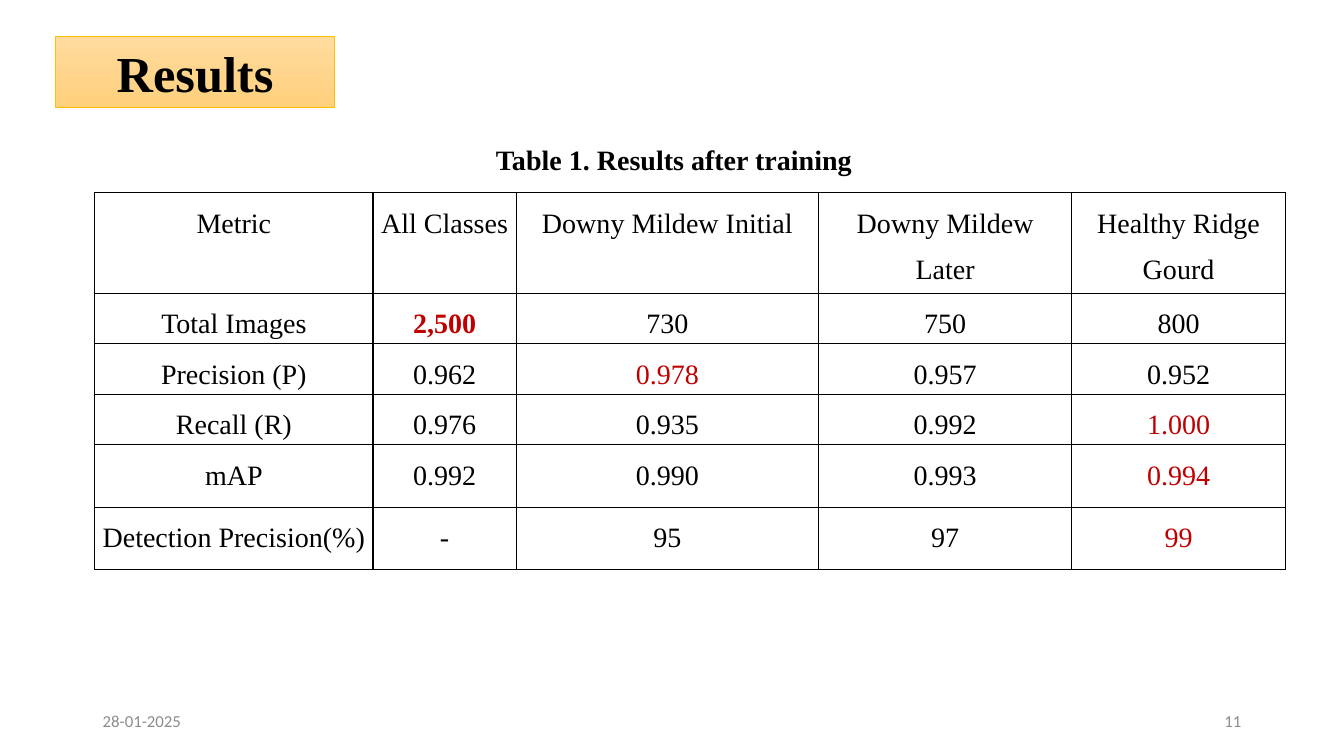
import pptx
import pptx.util
from dataclasses import dataclass
from lxml import etree
from pptx.dml.color import RGBColor
from pptx.enum.shapes import MSO_SHAPE
from pptx.enum.text import MSO_ANCHOR, MSO_AUTO_SIZE, PP_ALIGN
from pptx.oxml.ns import qn
from pptx.util import Inches, Pt

# Content
TITLE = "Results"
CAPTION = "Table 1. Results after training"
DATE, PAGE = "28-01-2025", "11"
RESULTS = [
    ("Metric", "All Classes", "Downy Mildew Initial", "Downy Mildew Later", "Healthy Ridge Gourd"),
    ("Total Images", "2,500", "730", "750", "800"),
    ("Precision (P)", "0.962", "0.978", "0.957", "0.952"),
    ("Recall (R)", "0.976", "0.935", "0.992", "1.000"),
    ("mAP", "0.992", "0.990", "0.993", "0.994"),
    ("Detection Precision(%)", "-", "95", "97", "99"),
]
HIGHLIGHTS = {"2,500", "0.978", "1.000", "0.994", "99"}
BOLD_VALUES = {"2,500"}

# Grid, in inches
SLIDE_WIDTH, SLIDE_HEIGHT = 13.33, 7.5
TITLE_BOX = (0.55, 0.36, 2.77, 0.71)
CAPTION_BOX = (2.3, 1.34, 8.77, 0.53)
TABLE_LEFT, TABLE_TOP = 0.94, 1.91
COLUMN_WIDTHS = (2.76, 1.42, 3, 2.51, 2.12)
ROW_HEIGHTS = (0.72, 0.47, 0.47, 0.47, 0.62, 0.62)
FOOTER_MARGIN, FOOTER_TOP, FOOTER_WIDTH, FOOTER_HEIGHT = 0.92, 6.95, 3, 0.4


@dataclass(frozen=True)
class Theme:
    serif: str = "Times New Roman"
    sans: str = "Calibri"
    black: str = "000000"
    white: str = "FFFFFF"
    red: str = "C00000"
    gray: str = "8C8C8C"
    gold: str = "FFC000"
    gradient: tuple = ("FFDB9E", "FFD07C")
    title_size: int = 36
    body_size: int = 20
    footer_size: int = 12


THEME = Theme()


def set_attributes(target, values):
    for name, value in values.items():
        setattr(target, name, value)


def write(text_frame, text, size, color, font=THEME.serif, bold=False, **paragraph_format):
    text_frame.word_wrap = True
    paragraph = text_frame.paragraphs[0]
    set_attributes(paragraph, paragraph_format)
    run = paragraph.add_run()
    run.text = text
    set_attributes(run.font, {"name": font, "size": Pt(size), "bold": bold})
    run.font.color.rgb = RGBColor.from_string(color)


def add_rectangle(slide, box):
    shape = slide.shapes.add_shape(MSO_SHAPE.RECTANGLE, *map(Inches, box))
    shape.shadow.inherit = False
    return shape


def add_caption(slide):
    shape = add_rectangle(slide, CAPTION_BOX)
    shape.fill.solid()
    shape.fill.fore_color.rgb = RGBColor.from_string(THEME.white)
    shape.line.fill.background()
    shape.text_frame.vertical_anchor = MSO_ANCHOR.TOP
    write(shape.text_frame, CAPTION, THEME.body_size, THEME.black, bold=True,
          alignment=PP_ALIGN.CENTER, line_spacing=1.07, space_after=Pt(8))


def add_title(slide):
    shape = add_rectangle(slide, TITLE_BOX)
    shape.fill.gradient()
    shape.fill.gradient_angle = 270
    for stop, color in zip(shape.fill.gradient_stops, THEME.gradient):
        stop.color.rgb = RGBColor.from_string(color)
    shape.line.color.rgb = RGBColor.from_string(THEME.gold)
    shape.line.width = Pt(0.5)
    set_attributes(shape.text_frame, {"vertical_anchor": MSO_ANCHOR.MIDDLE,
                                      "auto_size": MSO_AUTO_SIZE.SHAPE_TO_FIT_TEXT})
    write(shape.text_frame, TITLE, THEME.title_size, THEME.black, bold=True,
          alignment=PP_ALIGN.CENTER)


def add_footer(slide, text, left, alignment):
    box = (left, FOOTER_TOP, FOOTER_WIDTH, FOOTER_HEIGHT)
    text_frame = slide.shapes.add_textbox(*map(Inches, box)).text_frame
    text_frame.vertical_anchor = MSO_ANCHOR.MIDDLE
    write(text_frame, text, THEME.footer_size, THEME.gray, THEME.sans, alignment=alignment)


def add_borders(cell):
    properties = cell._tc.get_or_add_tcPr()
    for position, side in enumerate(("a:lnL", "a:lnR", "a:lnT", "a:lnB")):
        line = etree.Element(qn(side), w=str(Pt(1)))
        fill = etree.SubElement(line, qn("a:solidFill"))
        etree.SubElement(fill, qn("a:srgbClr"), val=THEME.black)
        properties.insert(position, line)


def add_results_table(slide):
    box = (TABLE_LEFT, TABLE_TOP, sum(COLUMN_WIDTHS), sum(ROW_HEIGHTS))
    table = slide.shapes.add_table(len(RESULTS), len(COLUMN_WIDTHS), *map(Inches, box)).table
    set_attributes(table, {"first_row": False, "horz_banding": False})
    for column, width in zip(table.columns, COLUMN_WIDTHS):
        column.width = Inches(width)
    for row, height, values in zip(table.rows, ROW_HEIGHTS, RESULTS):
        row.height = Inches(height)
        for cell, value in zip(row.cells, values):
            set_attributes(cell, {"margin_left": Inches(0.07), "margin_right": Inches(0.07),
                                  "margin_top": 0, "margin_bottom": 0})
            cell.fill.background()
            add_borders(cell)
            color = THEME.red if value in HIGHLIGHTS else THEME.black
            write(cell.text_frame, value, THEME.body_size, color, bold=value in BOLD_VALUES,
                  alignment=PP_ALIGN.CENTER, line_spacing=1.5)


def main():
    presentation = pptx.Presentation()
    set_attributes(presentation, {"slide_width": Inches(SLIDE_WIDTH),
                                  "slide_height": Inches(SLIDE_HEIGHT)})
    slide = presentation.slides.add_slide(presentation.slide_layouts[6])
    add_caption(slide)
    add_footer(slide, DATE, FOOTER_MARGIN, PP_ALIGN.LEFT)
    add_footer(slide, PAGE, SLIDE_WIDTH - FOOTER_MARGIN - FOOTER_WIDTH, PP_ALIGN.RIGHT)
    add_results_table(slide)
    add_title(slide)
    presentation.save("out.pptx")


if __name__ == "__main__":
    main()
